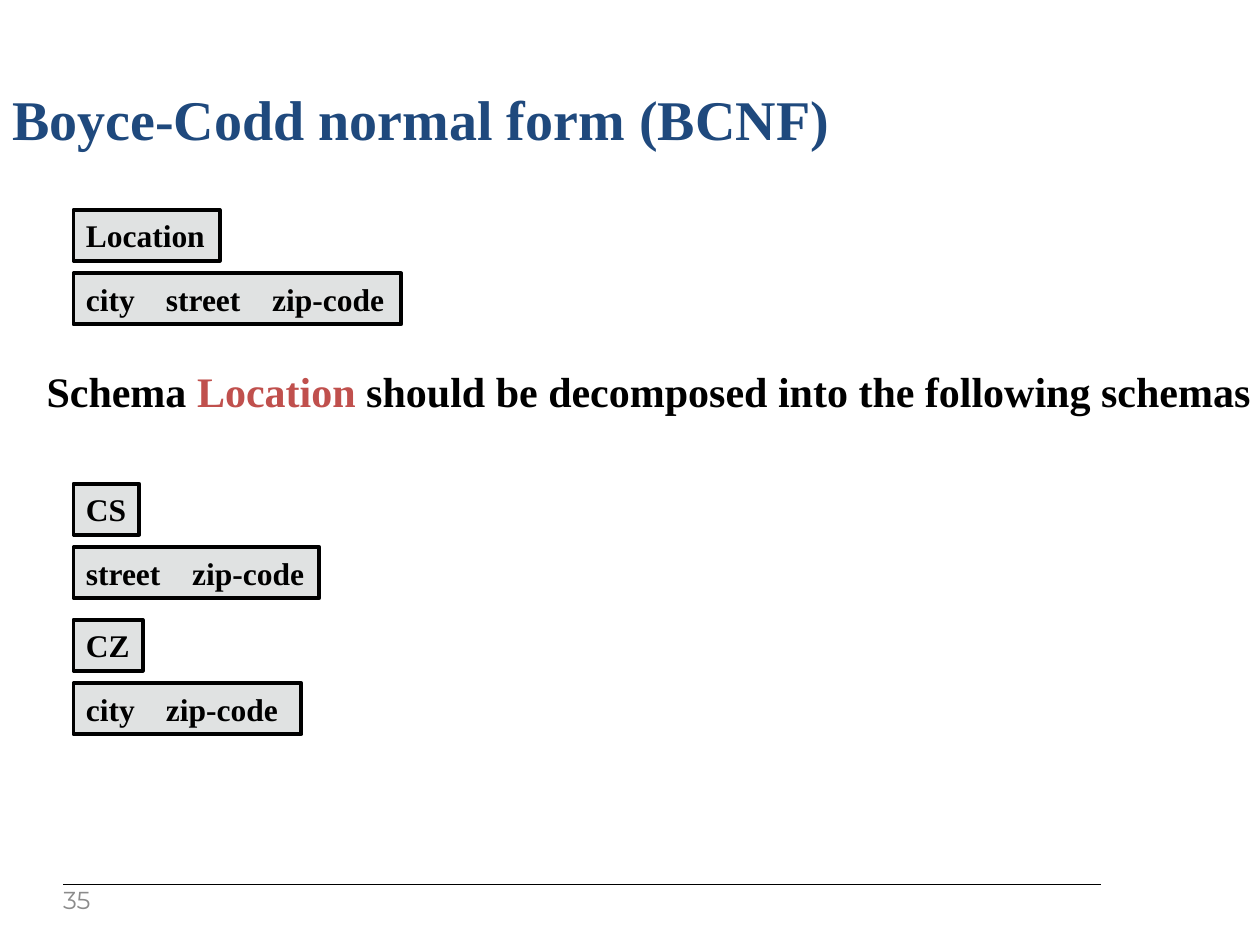
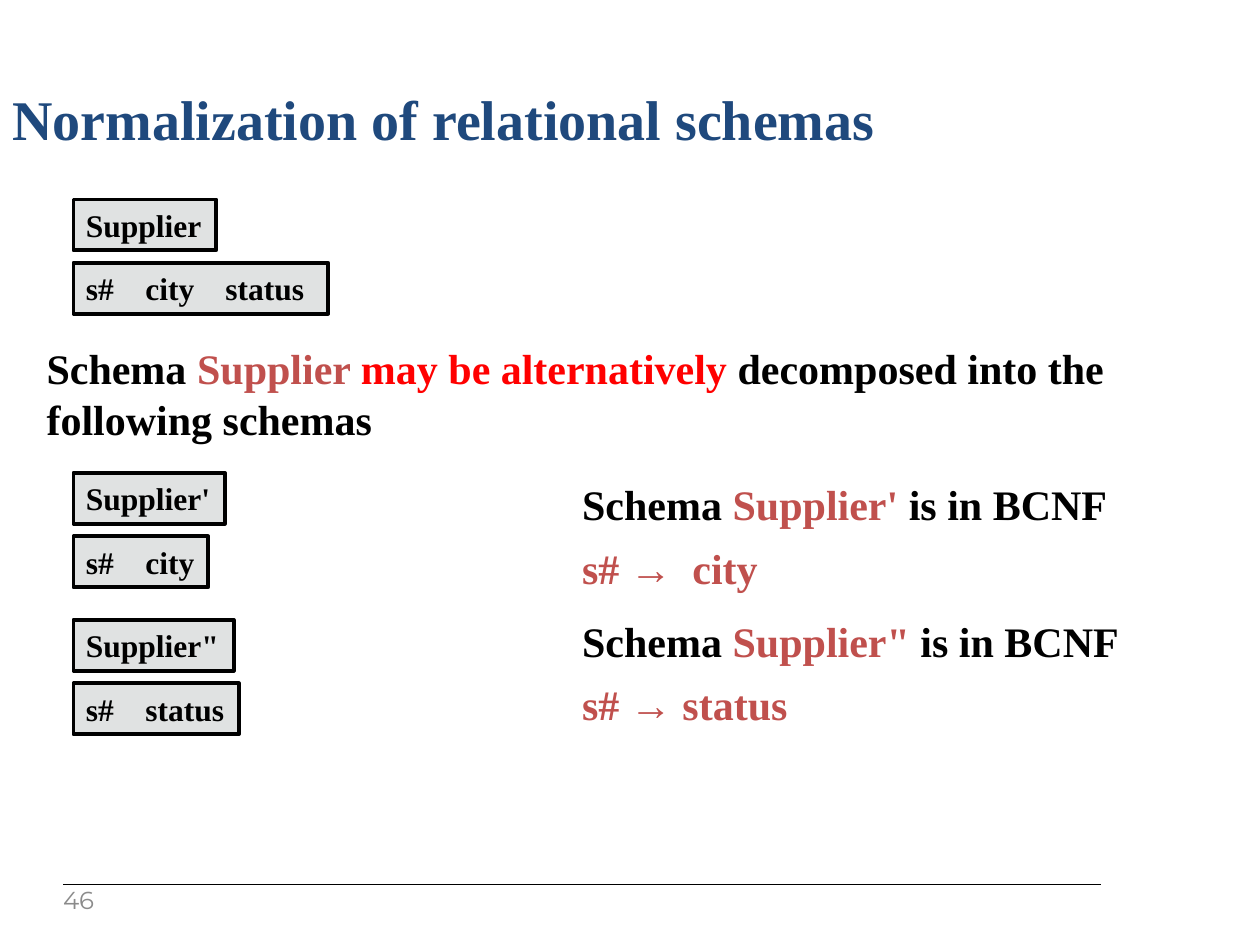
from pptx import Presentation
from pptx import util as u
from pptx.dml.color import RGBColor
from pptx.enum import shapes, text
from pptx.oxml.ns import qn
from lxml import etree

Pt = u.Pt

# Content: each table is (top, (name, width), (columns, width))
PAGES = [
    dict(
        num="35",
        title="Boyce-Codd normal form (BCNF)",
        tables=[
            (120, ("Location", 83.5), (["city", "street", "zip-code"], 187.25)),
            (276.5, ("CS", 37.5), (["street", "zip-code"], 140.5)),
            (354.25, ("CZ", 39.5), (["city", "zip-code"], 130.25)),
        ],
        lead=(205.25, 36.75, [("Schema ", "ink"), ("Location", "term"),
              (" should be decomposed into the following schemas", "ink")]),
        notes=[],
    ),
    dict(
        num="46",
        title="Normalization of relational schemas",
        tables=[
            (114, ("Supplier", 81.5), (["s#", "city", "status"], 145.5)),
            (270.25, ("Supplier'", 86.5), (["s#", "city"], 77)),
            (354.25, ('Supplier"', 91.5), (["s#", "status"], 94.5)),
        ],
        lead=(192.25, 65.5, [("Schema ", "ink"), ("Supplier ", "term"),
              ("may be alternatively", "alert"),
              (" decomposed into the following schemas", "ink")]),
        notes=[
            (270, [("Schema ", "ink"), ("Supplier'", "term"), (" is in BCNF", "ink")],
             [("s# →\tcity", "term")]),
            (348, [("Schema ", "ink"), ('Supplier" ', "term"), ("is in BCNF", "ink")],
             [("s# → status", "term")]),
        ],
    ),
]

# Shared style
HUES = dict(ink="000000", title="1F497D", term="C0504D", alert="FF0000",
            cell="E0E2E2", page="8B8B8B")
SERIF, SANS = "Times New Roman", "Montserrat"
LEFT, HIGH, STEP = 42, 29, 36.25          # schema boxes
SPAN = {"s#": 34, "city": 45.75, "street": 60.75}  # word plus gap
SIDE, WIDE, LINE = 318.25, 401.75, 36.75  # notes on the right
ARROW = 63                                # tab after the arrow
PAD, INSET = (7.2, 3.6, 7.2, 3.6), (14.4, 3.6, 14.4, 3.6)


def hue(key):
    return RGBColor.from_string(HUES[key])


def write(shape, runs, size, pad=PAD, font=SERIF, bold=True, stops=(),
          anchor=text.MSO_ANCHOR.TOP):
    frame = shape.text_frame
    frame.word_wrap = True
    frame.vertical_anchor = anchor
    (frame.margin_left, frame.margin_top,
     frame.margin_right, frame.margin_bottom) = map(Pt, pad)
    para = frame.paragraphs[0]
    para.alignment = text.PP_ALIGN.LEFT
    if stops:
        tabs = etree.SubElement(para._p.get_or_add_pPr(), qn("a:tabLst"))
        for stop in stops:
            etree.SubElement(tabs, qn("a:tab"), pos=str(Pt(stop)), algn="l")
    for words, key in runs:
        run = para.add_run()
        run.text = words
        run.font.name, run.font.size, run.font.bold = font, Pt(size), bold
        run.font.color.rgb = hue(key)


def label(slide, box, runs, size, **style):
    write(slide.shapes.add_textbox(*map(Pt, box)), runs, size, **style)


def cell(group, top, width, words, stops=()):
    rect = group.shapes.add_shape(shapes.MSO_SHAPE.RECTANGLE,
                                  *map(Pt, (LEFT, top, width, HIGH)))
    rect.shadow.inherit = False
    rect.fill.solid()
    rect.fill.fore_color.rgb = hue("cell")
    rect.line.color.rgb = hue("ink")
    rect.line.width = Pt(2.25)
    write(rect, [(words, "ink")], 18, pad=(7.2, 3.6, 0, 3.6), stops=stops)


def table(slide, top, head, row):
    group = slide.shapes.add_group_shape()
    name, width = head
    cell(group, top, width, name)
    cols, width = row
    stops = [sum(SPAN[c] for c in cols[:i]) for i in range(1, len(cols))]
    cell(group, top + STEP, width, "\t".join(cols), stops)


def frame(slide, title, num):
    # Title, footer rule and page number
    label(slide, (0, 44.75, 720, 48.25), [(title, "title")], 32)
    rule = slide.shapes.add_connector(shapes.MSO_CONNECTOR.STRAIGHT,
                                      *map(Pt, (36, 505.5, 629.25, 505.5)))
    rule.line.color.rgb = hue("ink")
    rule.line.width = Pt(0.75)
    etree.SubElement(rule._element.spPr, qn("a:effectLst"))
    label(slide, (36, 508.25, 29, 15), [(num, "page")], 14, pad=(0, 0, 7.2, 3.6),
          font=SANS, bold=False, anchor=text.MSO_ANCHOR.MIDDLE)


def main():
    deck = Presentation()
    deck.slide_width, deck.slide_height = Pt(720), Pt(540)
    for page in PAGES:
        slide = deck.slides.add_slide(deck.slide_layouts[6])
        frame(slide, page["title"], page["num"])
        top, high, runs = page["lead"]
        label(slide, (12.25, top, 720, high), runs, 24, pad=INSET)
        for part in page["tables"]:
            table(slide, *part)
        # Notes: a statement, then its dependency
        for top, *lines in page["notes"]:
            for i, runs in enumerate(lines):
                stops = [ARROW] if "\t" in runs[0][0] else []
                label(slide, (SIDE, top + i * STEP, WIDE, LINE), runs, 24,
                      pad=INSET, stops=stops)
    deck.save("out.pptx")


if __name__ == "__main__":
    main()
